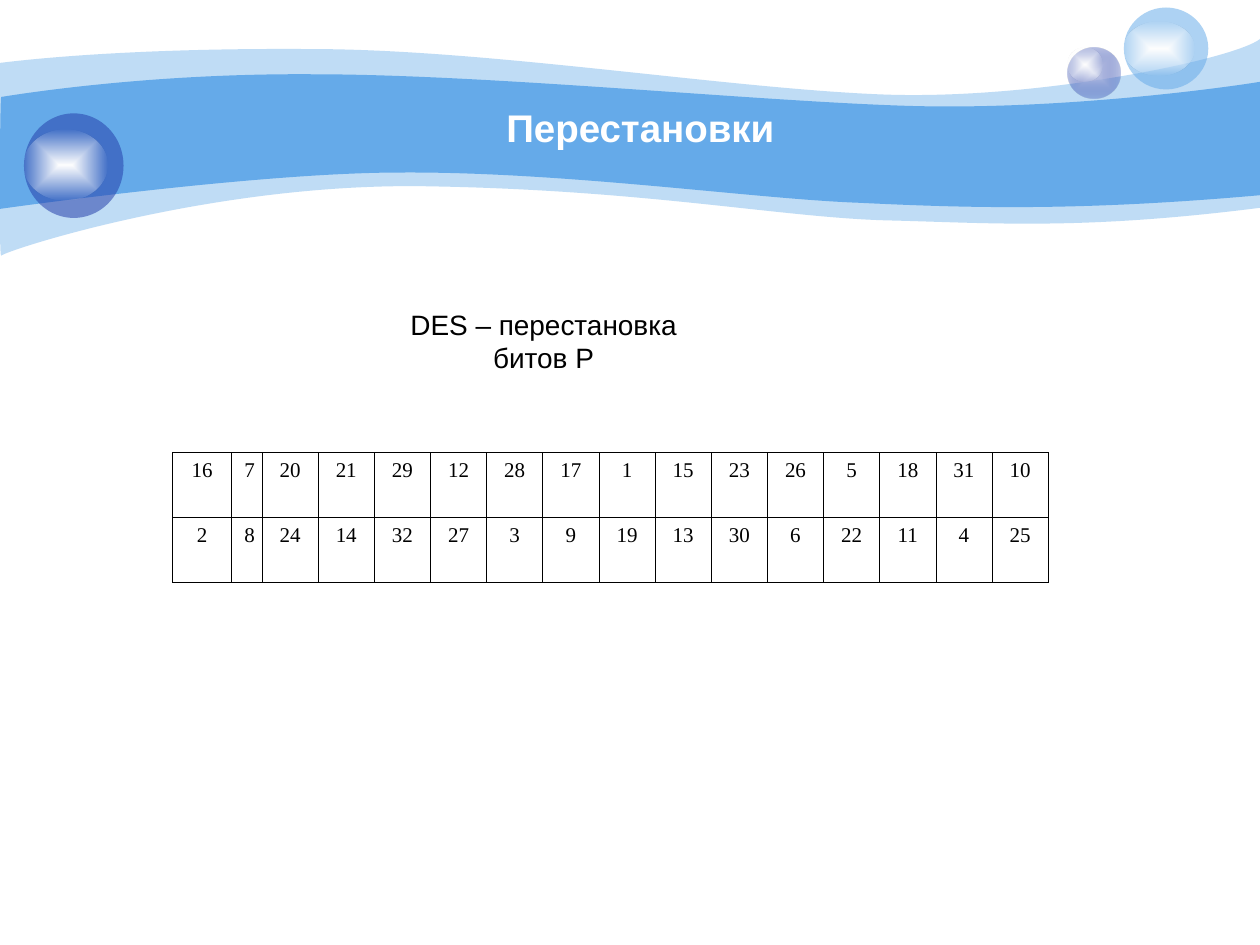
from dataclasses import dataclass
from typing import NamedTuple

from pptx import Presentation, util as u
from pptx.dml.color import RGBColor
from pptx.enum import shapes, text
from pptx.oxml import parse_xml
from pptx.oxml.ns import nsdecls, qn
from pptx.oxml.xmlchemy import OxmlElement

COLUMNS, ROWS = 10, 7.5
WIDTH, HEIGHT = u.Inches(10), u.Inches(7.5)
SKY, NAVY, PALE, WHITE, BLACK = "65AAE9", "233DA9", "C7CEE9", "FFFFFF", "000000"


class Frame(NamedTuple):
    """Left, top, width and height in grid columns and rows."""
    left: float
    top: float
    width: float
    height: float

    def emu(self) -> list[int]:
        return [x(self.left), y(self.top), x(self.width), y(self.height)]


class Stop(NamedTuple):
    color: str
    alpha: int = 100


@dataclass
class Wave:
    """Outline segments: two numbers draw a line, six a Bézier curve."""
    start: tuple
    segments: list
    fill: Stop


@dataclass
class Bubble:
    body: Frame
    gloss: Frame
    stops: list


WAVES = [
    Wave((0, 0.5), [
        (0.24, 0.47, 1.07, 0.38, 2.47, 0.39), (3.86, 0.39, 5.75, 0.7, 6.99, 0.75),
        (8.22, 0.8, 9.8, 0.47, 10, 0.31), (10, 1.65),
        (8.58, 1.83, 7.87, 1.77, 7.05, 1.75), (6.22, 1.73, 5.15, 1.51, 3.43, 1.48),
        (1.72, 1.44, 0.04, 1.99, 0.01, 2.03), (-0.01, 2.08, 0, 0.75, 0, 0.5),
    ], Stop(SKY, 41)),
    Wave((0.01, 0.77), [
        (0.02, 0.77, 1.1, 0.58, 2.48, 0.59), (3.86, 0.59, 5.95, 0.8, 7.18, 0.84),
        (8.41, 0.88, 9.76, 0.69, 10, 0.65), (10, 1.55),
        (8.53, 1.68, 7.65, 1.65, 6.82, 1.61), (5.99, 1.58, 4.47, 1.36, 3.17, 1.37),
        (2.03, 1.37, -0.02, 1.66, -0.01, 1.66), (0, 1.66, 0, 0.77, 0.01, 0.77),
    ], Stop(SKY)),
]
GLOSS = [Stop(WHITE), Stop(WHITE, 0)]
BUBBLES = [
    Bubble(Frame(8.47, 0.38, 0.42, 0.4), Frame(8.47, 0.38, 0.28, 0.27),
           [Stop(PALE), Stop(NAVY, 31)]),
    Bubble(Frame(8.92, 0.06, 0.67, 0.65), Frame(8.92, 0.17, 0.56, 0.43), [Stop(SKY, 53)]),
    Bubble(Frame(0.19, 0.9, 0.79, 0.83), Frame(0.19, 1.03, 0.66, 0.56), [Stop(NAVY, 53)]),
]
PERMUTATION = [
    [16, 7, 20, 21, 29, 12, 28, 17, 1, 15, 23, 26, 5, 18, 31, 10],
    [2, 8, 24, 14, 32, 27, 3, 9, 19, 13, 30, 6, 22, 11, 4, 25],
]
TABLE_FRAME = Frame(1.37, 3.59, 6.95, 1.03)
LEADING_WIDTHS = [0.47, 0.24]


def x(columns: float) -> int:
    return round(WIDTH * columns / COLUMNS)


def y(rows: float) -> int:
    return round(HEIGHT * rows / ROWS)


def rgb(color: str) -> RGBColor:
    return RGBColor.from_string(color)


def paint(shape, stops: list) -> None:
    """One stop gives a flat fill, two a gradient outwards from the centre."""
    colors = [f'<a:srgbClr val="{s.color}"><a:alpha val="{s.alpha * 1000}"/></a:srgbClr>'
              for s in stops]
    if len(stops) == 1:
        fill = f'<a:solidFill {nsdecls("a")}>{colors[0]}</a:solidFill>'
    else:
        fill = (f'<a:gradFill {nsdecls("a")} rotWithShape="1"><a:gsLst>'
                f'<a:gs pos="0">{colors[0]}</a:gs><a:gs pos="100000">{colors[1]}</a:gs></a:gsLst>'
                '<a:path path="rect"><a:fillToRect l="50000" t="50000" r="50000" b="50000"/>'
                '</a:path></a:gradFill>')
    shape.fill.background()
    properties = shape._element.spPr
    properties.replace(properties.find(qn("a:noFill")), parse_xml(fill))
    shape.line.fill.background()
    shape.shadow.inherit = False


def bend(shape, segments: list) -> None:
    """Join the three lines of each six-number segment into one Bézier curve."""
    lines = iter(list(shape._element.spPr.iter(qn("a:lnTo"))))
    for segment in segments:
        first = next(lines)
        if len(segment) == 6:
            curve = OxmlElement("a:cubicBezTo")
            first.addprevious(curve)
            for line in (first, next(lines), next(lines)):
                curve.append(line[0])
                line.getparent().remove(line)


def draw_wave(slide, wave: Wave) -> None:
    points = [(x(segment[i]), y(segment[i + 1]))
              for segment in wave.segments for i in range(0, len(segment), 2)]
    builder = slide.shapes.build_freeform(x(wave.start[0]), y(wave.start[1]))
    builder.add_line_segments(points, close=True)
    shape = builder.convert_to_shape()
    bend(shape, wave.segments)
    paint(shape, [wave.fill])


def draw_bubble(slide, bubble: Bubble) -> None:
    group = slide.shapes.add_group_shape()
    for frame, stops in ((bubble.body, bubble.stops), (bubble.gloss, GLOSS)):
        paint(group.shapes.add_shape(shapes.MSO_SHAPE.OVAL, *frame.emu()), stops)


def write(paragraph, words: str, color: str, **font_format) -> None:
    paragraph.alignment = text.PP_ALIGN.CENTER
    run = paragraph.add_run()
    run.text = words
    run.font.color.rgb = rgb(color)
    for name, value in font_format.items():
        setattr(run.font, name, value)


def draw_text(slide, frame: Frame, words: str, color: str, anchor, **font_format) -> None:
    body = slide.shapes.add_textbox(*frame.emu()).text_frame
    for name, value in {"word_wrap": True, "vertical_anchor": anchor}.items():
        setattr(body, name, value)
    write(body.paragraphs[0], words, color, name="Arial", **font_format)


def add_borders(cell) -> None:
    properties = cell._tc.get_or_add_tcPr()
    for side in ("lnL", "lnR", "lnT", "lnB"):
        properties.append(parse_xml(
            f'<a:{side} {nsdecls("a")} w="{u.Pt(0.45)}"><a:solidFill>'
            f'<a:srgbClr val="{BLACK}"/></a:solidFill></a:{side}>'))


def draw_permutation(slide) -> None:
    count = len(PERMUTATION[0])
    table = slide.shapes.add_table(len(PERMUTATION), count, *TABLE_FRAME.emu()).table
    table.first_row = table.horz_banding = False
    rest = count - len(LEADING_WIDTHS)
    equal_width = (TABLE_FRAME.width - sum(LEADING_WIDTHS)) / rest
    for column, width in zip(table.columns, LEADING_WIDTHS + [equal_width] * rest):
        column.width = x(width)
    for row, bits in enumerate(PERMUTATION):
        for column, bit in enumerate(bits):
            cell = table.cell(row, column)
            add_borders(cell)
            cell.fill.background()
            write(cell.text_frame.paragraphs[0], str(bit), BLACK,
                  name="Times New Roman", size=u.Pt(12), bold=False)


def main() -> None:
    deck = Presentation()
    deck.slide_width, deck.slide_height = WIDTH, HEIGHT
    slide = deck.slides.add_slide(deck.slide_layouts[6])
    for wave in WAVES:
        draw_wave(slide, wave)
    for bubble in BUBBLES:
        draw_bubble(slide, bubble)
    draw_text(slide, Frame(1, 0.76, 8.08, 0.49), " Перестановки", WHITE,
              text.MSO_ANCHOR.MIDDLE, size=u.Pt(22), bold=True)
    draw_text(slide, Frame(3.03, 2.39, 2.57, 0.9), "DES – перестановка битов Р", BLACK,
              text.MSO_ANCHOR.TOP, size=u.Pt(16))
    draw_permutation(slide)
    deck.save("out.pptx")


if __name__ == "__main__":
    main()
